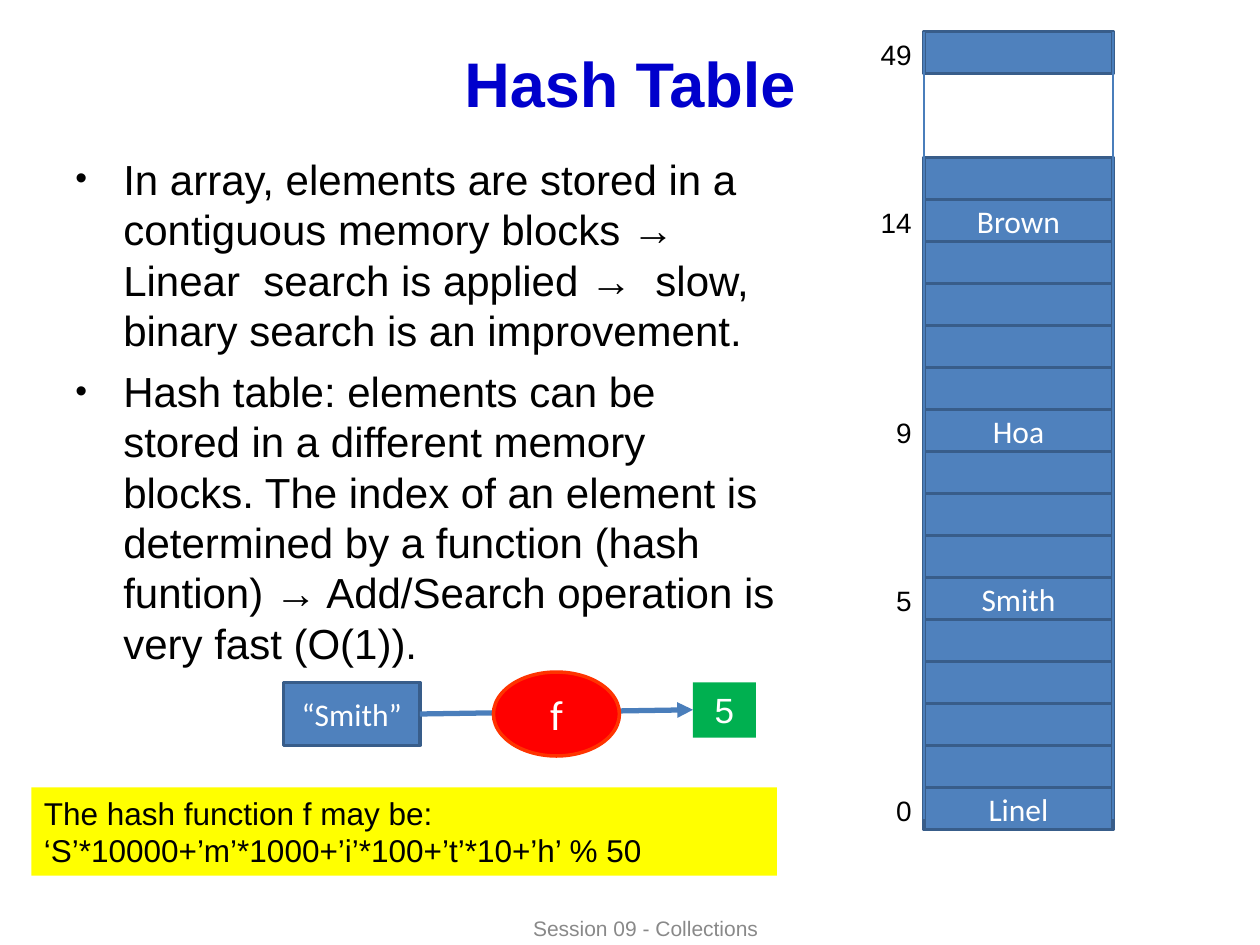
"""Build the hash table slide."""
from lxml.etree import SubElement
from pptx import Presentation
from pptx.dml.color import RGBColor
from pptx.enum.shapes import MSO_CONNECTOR, MSO_SHAPE
from pptx.enum.text import MSO_ANCHOR, PP_ALIGN
from pptx.oxml.ns import qn
from pptx.util import Inches, Pt

WHITE = RGBColor(255, 255, 255)
BLACK = RGBColor(0, 0, 0)
GREY = RGBColor(0x89, 0x89, 0x89)
TITLE_BLUE = RGBColor(0, 0, 0xCC)
CELL_BLUE = RGBColor(0x4F, 0x81, 0xBD)
EDGE_BLUE = RGBColor(0x38, 0x5D, 0x8A)
LINE_BLUE = RGBColor(0x4A, 0x7E, 0xBB)
GREEN = RGBColor(0, 0xB0, 0x50)
RED = RGBColor(255, 0, 0)
ORANGE = RGBColor(255, 0x33, 0)
YELLOW = RGBColor(255, 255, 0)

SLIDE_WIDTH, SLIDE_HEIGHT = Inches(10), Inches(7.5)
UNIT = SLIDE_WIDTH / 120
SLOT_LEFT, SLOT_WIDTH, SLOT_HEIGHT, BOTTOM_SLOT, TOP_SLOT = 88, 18, 4, 75, 3
NAMES = {0: "Linel", 5: "Smith", 9: "Hoa", 14: "Brown"}
POINTS = [
    "In array, elements are stored in a contiguous memory blocks → "
    "Linear  search is applied →  slow, binary search is an improvement.",
    "Hash table: elements can be stored in a different memory blocks. "
    "The index of an element is determined by a function (hash funtion) "
    "→ Add/Search operation is very fast (O(1)). ",
]


def grid(*units):
    """Turn grid units into whole lengths."""
    return [round(unit * UNIT) for unit in units]


def write(box, *texts, size=18, font="Arial", color=BLACK, bold=False,
          align=PP_ALIGN.LEFT, anchor=MSO_ANCHOR.TOP, bullet=False):
    """Fill a box with one paragraph per text."""
    frame = box.text_frame
    frame.word_wrap = True
    frame.vertical_anchor = anchor
    for index, text in enumerate(texts):
        para = frame.add_paragraph() if index else frame.paragraphs[0]
        para.alignment = align
        span = para.add_run()
        span.text = text
        span.font.size, span.font.name = Pt(size), font
        span.font.bold, span.font.color.rgb = bold, color
        if bullet:
            add_bullet(para)


def add_bullet(para):
    """Give a paragraph a small round bullet and a hanging indent."""
    para.space_before = Pt(6)
    properties = para._p.get_or_add_pPr()
    properties.set("marL", str(Inches(0.38)))
    properties.set("indent", str(-Inches(0.38)))
    SubElement(properties, qn("a:buSzPct")).set("val", "80000")
    SubElement(properties, qn("a:buFont")).set("typeface", "Arial")
    SubElement(properties, qn("a:buChar")).set("char", "•")


def add_text(page, place, *texts, **style):
    """Add a plain text box."""
    write(page.shapes.add_textbox(*grid(*place)), *texts, **style)


def add_block(page, place, text="", kind=MSO_SHAPE.RECTANGLE, fill=CELL_BLUE,
              edge=EDGE_BLUE, **style):
    """Add a filled shape, with an edge and text if given."""
    block = page.shapes.add_shape(kind, *grid(*place))
    block.shadow.inherit = False
    block.fill.solid()
    block.fill.fore_color.rgb = fill
    if edge is None:
        block.line.fill.background()
    else:
        block.line.color.rgb = edge
        block.line.width = Pt(2)
    if text:
        centred = dict(font="Calibri", color=WHITE, align=PP_ALIGN.CENTER,
                       anchor=MSO_ANCHOR.MIDDLE)
        write(block, text, **{**centred, **style})


def add_line(page, ends, width, arrow=False):
    """Add a straight line, with an arrowhead at its end if wanted."""
    line = page.shapes.add_connector(MSO_CONNECTOR.STRAIGHT, *grid(*ends))
    line.line.color.rgb = LINE_BLUE
    line.line.width = Pt(width)
    if arrow:
        SubElement(line.line._get_or_add_ln(), qn("a:tailEnd")).set("type", "triangle")
    SubElement(line._element.spPr, qn("a:effectLst"))


def add_label(page, number, top):
    """Write a slot number left of the table."""
    add_text(page, (SLOT_LEFT - 7, top, 7, 4.4), str(number), size=16,
             align=PP_ALIGN.RIGHT)


def add_hash_table(page):
    """Stack the slots from the bottom up and add the last one on top."""
    for index in reversed(range(16)):
        top = BOTTOM_SLOT - index * SLOT_HEIGHT
        add_block(page, (SLOT_LEFT, top, SLOT_WIDTH, SLOT_HEIGHT), NAMES.get(index, ""))
        if index in NAMES:
            add_label(page, index, top)
    add_block(page, (SLOT_LEFT, TOP_SLOT, SLOT_WIDTH, SLOT_HEIGHT))
    add_label(page, 49, TOP_SLOT)
    for side in (SLOT_LEFT, SLOT_LEFT + SLOT_WIDTH):
        add_line(page, (side, TOP_SLOT, side, BOTTOM_SLOT + 3), 0.75)


def add_hash_function(page):
    """Draw the key, the function and the resulting index."""
    add_block(page, (27, 65, 13, 6), "“Smith”")
    add_block(page, (66, 65, 6, 5.25), "5", fill=GREEN, edge=None, font="Arial",
              size=20, anchor=MSO_ANCHOR.TOP)
    add_line(page, (40, 68, 66, 67.6), 3, arrow=True)
    add_block(page, (47, 64, 12, 8), "f", kind=MSO_SHAPE.OVAL, fill=RED,
              edge=ORANGE, size=24)
    add_block(page, (3, 75, 71, 8.4),
              "The hash function f may be: ‘S’*10000+’m’*1000+’i’*100+’t’*10+’h’ % 50",
              fill=YELLOW, edge=None, font="Arial", color=BLACK,
              align=PP_ALIGN.LEFT, anchor=MSO_ANCHOR.TOP)


def main():
    """Build and save the deck."""
    deck = Presentation()
    deck.slide_width, deck.slide_height = SLIDE_WIDTH, SLIDE_HEIGHT
    page = deck.slides.add_slide(deck.slide_layouts[6])
    middle = dict(align=PP_ALIGN.CENTER, anchor=MSO_ANCHOR.MIDDLE)
    add_text(page, (6, 3.6, 108, 8.4), "Hash Table", size=36, bold=True,
             color=TITLE_BLUE, **middle)
    add_text(page, (6, 14, 69, 51), *POINTS, size=24, bullet=True)
    add_text(page, (32, 86.8, 59, 3.2), "Session 09 - Collections", size=12,
             color=GREY, **middle)
    add_hash_table(page)
    add_hash_function(page)
    deck.save("out.pptx")


main()
